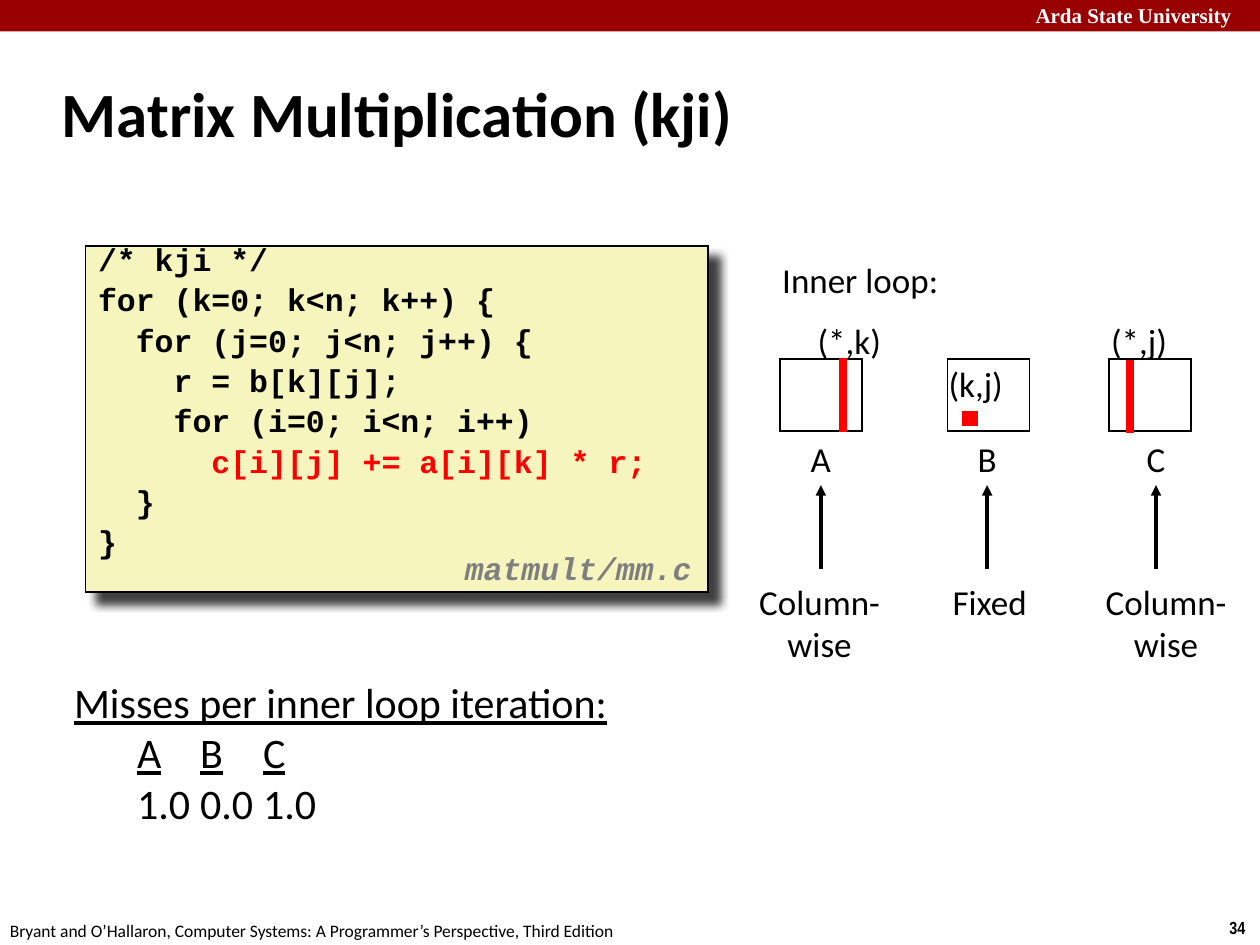
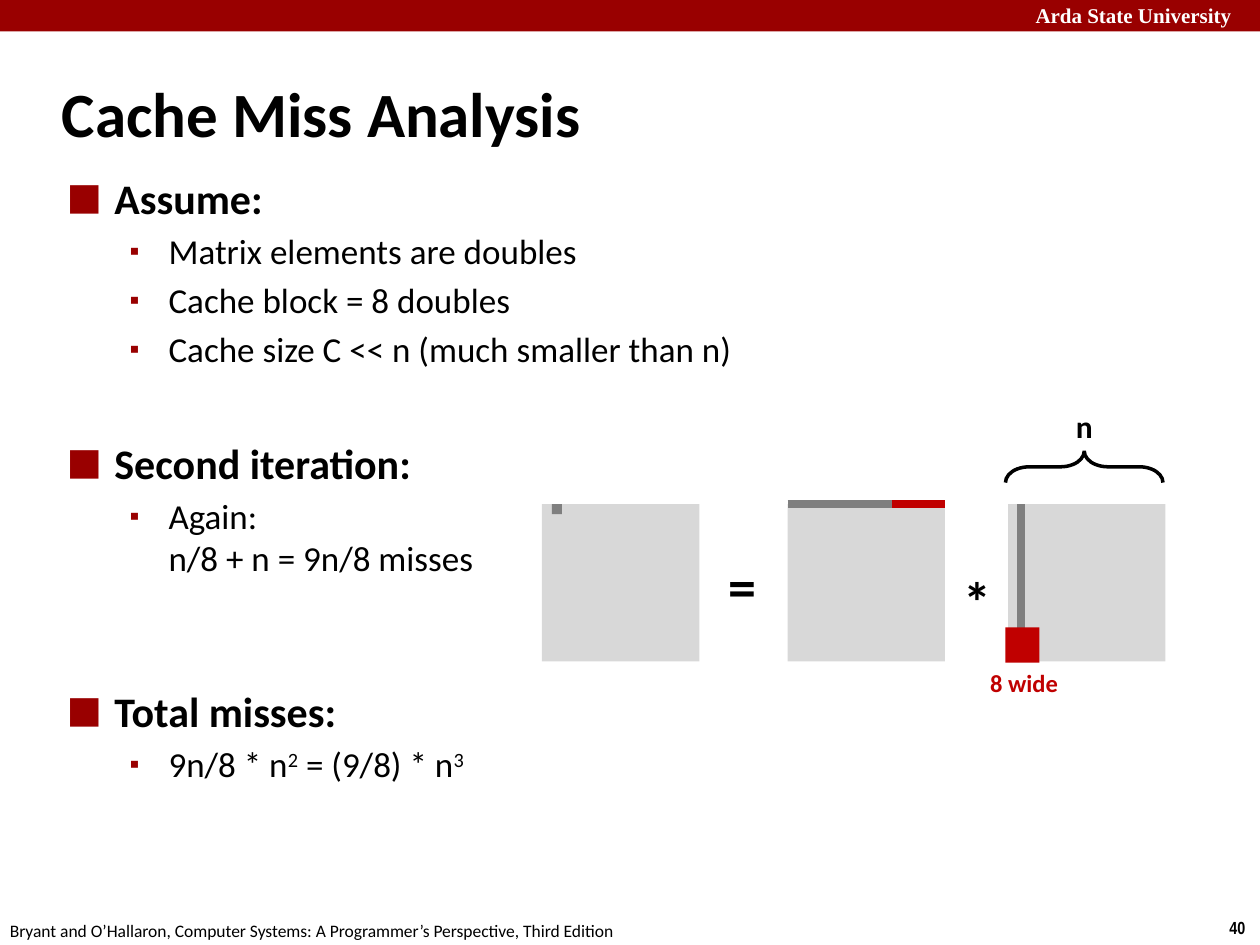
from dataclasses import dataclass
from typing import NamedTuple

from lxml.etree import SubElement
from pptx import Presentation
from pptx.dml.color import RGBColor
from pptx.enum.shapes import MSO_CONNECTOR as Connector, MSO_SHAPE as Preset
from pptx.enum.text import MSO_ANCHOR as Anchor, MSO_AUTO_SIZE as AutoSize, PP_ALIGN as Align
from pptx.oxml.ns import qn
from pptx.util import Emu, Inches, Pt


# Theme: colours, fonts and type sizes
@dataclass(frozen=True)
class Theme:
    band: str = "990000"
    ink: str = "000000"
    paper: str = "FFFFFF"
    code_fill: str = "F6F5BD"
    accent: str = "FF0000"
    miss: str = "C00000"
    matrix: str = "D8D8D8"
    hit: str = "7F7F7F"
    sans: str = "Calibri"
    mono: str = "Courier New"
    serif: str = "Times New Roman"
    narrow: str = "Arial Narrow"
    title: int = 36
    operator: int = 32
    heading: int = 24
    text: int = 20
    code: int = 18
    note: int = 14
    brand: int = 12
    footer: int = 10


THEME = Theme()

# Grid: 100 columns by 75 rows on a 10 by 7.5 inch slide
COLUMNS, ROWS = 100, 75
WIDTH, HEIGHT = Inches(10), Inches(7.5)


def across(columns: float) -> Emu:
    return Emu(round(WIDTH * columns / COLUMNS))


def down(rows: float) -> Emu:
    return Emu(round(HEIGHT * rows / ROWS))


class Area(NamedTuple):
    left: float
    top: float
    width: float
    height: float

    def place(self) -> tuple:
        return across(self.left), down(self.top), across(self.width), down(self.height)


class Point(NamedTuple):
    column: float
    row: float

    def place(self) -> tuple:
        return across(self.column), down(self.row)


class Operand(NamedTuple):
    name: str
    square_left: float
    letter: Area
    access: str
    access_area: Area
    pattern: tuple
    pattern_area: Area


class CodeLine(NamedTuple):
    depth: int
    text: str
    color: str = THEME.ink


class Level(NamedTuple):
    mark: str
    mark_percent: int
    margin: float
    first: float
    size: int


class Bullet(NamedTuple):
    level: int
    pieces: tuple  # every second piece is a superscript
    before: float = 4


# Text helpers
def write(para, text: str, *, size=THEME.text, font=THEME.sans, color=THEME.ink,
          bold=False, italic=False, underline=False, raised=False) -> None:
    for index, line in enumerate(text.split("\n")):
        if index:
            para.add_line_break()
        span = para.add_run()
        span.text = line
        span.font.size = Pt(size)
        span.font.name = font
        span.font.color.rgb = RGBColor.from_string(color)
        span.font.bold, span.font.italic, span.font.underline = bold, italic, underline
        if raised:
            span.font._element.set("baseline", "30000")


def indent(para, margin: float, first: float = 0) -> None:
    properties = para._p.get_or_add_pPr()
    properties.set("marL", str(across(margin)))
    properties.set("indent", str(across(first)))


def set_tabs(para, stops: tuple) -> None:
    tabs = SubElement(para._p.get_or_add_pPr(), qn("a:tabLst"))
    for stop in stops:
        SubElement(tabs, qn("a:tab"), pos=str(across(stop)), algn="l")


def set_bullet(para, level: Level) -> None:
    properties = para._p.get_or_add_pPr()
    SubElement(SubElement(properties, qn("a:buClr")), qn("a:srgbClr"), val=THEME.band)
    SubElement(properties, qn("a:buSzPct"), val=str(level.mark_percent * 1000))
    SubElement(properties, qn("a:buFont"), typeface=THEME.serif)
    SubElement(properties, qn("a:buChar"), char=level.mark)


def paragraphs(frame, count: int) -> list:
    return [frame.paragraphs[0]] + [frame.add_paragraph() for _ in range(count - 1)]


def text_area(page, area: Area, wrap: bool = True):
    box = page.shapes.add_textbox(*area.place())
    box.text_frame.word_wrap = wrap
    box.text_frame.auto_size = AutoSize.NONE
    return box


def label(page, area: Area, *lines: str, align=Align.LEFT, wrap=False, spacing=None, **look):
    box = text_area(page, area, wrap)
    for para, line in zip(paragraphs(box.text_frame, len(lines)), lines):
        para.alignment = align
        if spacing:
            para.line_spacing = spacing
        write(para, line, **look)
    return box


# Drawing helpers
def panel(page, area: Area, fill: str | None, line: str | None = None,
          weight: float = 1, preset=Preset.RECTANGLE):
    shape = page.shapes.add_shape(preset, *area.place())
    shape.shadow.inherit = False
    if fill:
        shape.fill.solid()
        shape.fill.fore_color.rgb = RGBColor.from_string(fill)
    else:
        shape.fill.background()
    if line:
        shape.line.color.rgb = RGBColor.from_string(line)
        shape.line.width = Pt(weight)
        SubElement(shape.line._get_or_add_ln(), qn("a:miter"), lim="800000")
    else:
        shape.line.fill.background()
    return shape


def stroke(page, start: Point, end: Point, color: str, weight: float, arrow: bool = False):
    connector = page.shapes.add_connector(Connector.STRAIGHT, *start.place(), *end.place())
    connector.line.color.rgb = RGBColor.from_string(color)
    connector.line.width = Pt(weight)
    if arrow:
        SubElement(connector.line._get_or_add_ln(), qn("a:tailEnd"), type="triangle")
    SubElement(connector._element.spPr, qn("a:effectLst"))
    return connector


def cast_shadow(shape) -> None:
    effects = shape._element.spPr.find(qn("a:effectLst"))
    shadow = SubElement(effects, qn("a:outerShdw"), blurRad=str(Pt(5)), dist=str(Pt(8.5)),
                        dir=str(45 * 60000), algn="tl", rotWithShape="0")
    color = SubElement(shadow, qn("a:srgbClr"), val=THEME.ink)
    SubElement(color, qn("a:alpha"), val="74000")


# Shared slide frame: band, university, footer, page number, title
def start_page(deck, title: str, number: int):
    page = deck.slides.add_slide(deck.slide_layouts[5])
    panel(page, Area(0, 0, COLUMNS, 2.5), THEME.band)
    label(page, Area(81.2, -0.3, 19.5, 5), "Arda State University", wrap=True,
          size=THEME.brand, font=THEME.serif, color=THEME.paper, bold=True)
    label(page, Area(96.6, 72.3, 3.4, 2.7), str(number),
          size=THEME.footer, font=THEME.narrow, bold=True)
    label(page, Area(-0.2, 72.5, 50.8, 2.7),
          "Bryant and O’Hallaron, Computer Systems: A Programmer’s Perspective, Third Edition",
          wrap=True, size=THEME.footer)
    heading = page.shapes.title
    heading.left, heading.top, heading.width, heading.height = Area(3.9, 4.8, 83, 8.3).place()
    frame = heading.text_frame
    frame.auto_size, frame.vertical_anchor = AutoSize.NONE, Anchor.MIDDLE
    frame.paragraphs[0].alignment = Align.LEFT
    write(frame.paragraphs[0], title, size=THEME.title, bold=True)
    return page


# Slide: matrix multiplication
CODE = (
    CodeLine(0, "/* kji */"),
    CodeLine(0, "for (k=0; k<n; k++) {"),
    CodeLine(1, "for (j=0; j<n; j++) {"),
    CodeLine(2, "r = b[k][j];"),
    CodeLine(2, "for (i=0; i<n; i++)"),
    CodeLine(3, "c[i][j] += a[i][k] * r;", THEME.accent),
    CodeLine(1, "}"),
    CodeLine(0, "}"),
)
CODE_STEP = 3  # two monospaced characters
COUNT_STOPS = (16.1, 26.1, 36.1)
OPERANDS = (
    Operand("A", 61.9, Area(63.3, 34.2, 3.7, 4.3), "(*,k)", Area(63.9, 24.9, 7.1, 4.3),
            ("Column-", "wise"), Area(59.2, 45.6, 11.7, 7.7)),
    Operand("B", 75.2, Area(76.6, 34.2, 3.5, 4.3), "(k,j)", Area(74.3, 28.3, 6.3, 4.3),
            ("Fixed",), Area(74.6, 45.6, 7.9, 4.3)),
    Operand("C", 88, Area(90, 34.2, 3.5, 4.3), "(*,j)", Area(87.2, 24.9, 6.5, 4.3),
            ("Column-", "wise"), Area(86.7, 45.6, 11.7, 7.7)),
)


def add_code(page) -> None:
    listing = panel(page, Area(6.8, 19.5, 49.4, 27.5), THEME.code_fill, THEME.ink)
    cast_shadow(listing)
    frame = listing.text_frame
    frame.word_wrap, frame.vertical_anchor = True, Anchor.TOP
    for index, (para, line) in enumerate(zip(paragraphs(frame, len(CODE)), CODE)):
        para.alignment = Align.LEFT
        para.line_spacing = 0.65
        para.space_before = Pt(9 if index else 0)
        indent(para, line.depth * CODE_STEP)
        write(para, line.text, size=THEME.code, font=THEME.mono, color=line.color, bold=True)
    label(page, Area(35.9, 43.3, 20.8, 3.9), "matmult/mm.c", wrap=True, spacing=0.94,
          size=THEME.code, font=THEME.mono, color=THEME.hit, bold=True, italic=True)


def add_operand(page, operand: Operand) -> None:
    panel(page, Area(operand.square_left, 28.5, 6.5, 5.7), THEME.paper, THEME.ink)
    letter = label(page, operand.letter, operand.name, align=Align.CENTER)
    label(page, operand.access_area, operand.access)
    label(page, operand.pattern_area, *operand.pattern, align=Align.CENTER)
    middle = operand.letter.left + operand.letter.width / 2
    arrow = stroke(page, Point(middle, 45.2), Point(middle, 38.5), THEME.ink, 2, arrow=True)
    arrow.end_connect(letter, 2)


def add_miss_counts(page) -> None:
    box = text_area(page, Area(4.9, 53.2, 54.3, 13.4))
    heading, names, rates = paragraphs(box.text_frame, 3)
    write(heading, "Misses per inner loop iteration:", size=THEME.heading, underline=True)
    for para in (names, rates):
        indent(para, 0)
        set_tabs(para, COUNT_STOPS)
    for operand in OPERANDS:
        write(names, "\t", size=THEME.heading)
        write(names, operand.name, size=THEME.heading, underline=True)
    write(rates, "\t1.0\t0.0\t1.0", size=THEME.heading)


def build_multiplication(deck) -> None:
    page = start_page(deck, "Matrix Multiplication (kji)", 34)
    add_code(page)
    label(page, Area(61.1, 20, 14.5, 4.3), "Inner loop:")
    for operand in OPERANDS:
        add_operand(page, operand)
    panel(page, Area(76.7, 32.9, 0.6, 0.6), THEME.ink, THEME.accent, 4.5)
    for column, bottom, top in ((66.9, 34.3, 28.4), (89.7, 34.4, 28.6)):
        stroke(page, Point(column, bottom), Point(column, top), THEME.accent, 4.5)
    add_miss_counts(page)


# Slide: cache miss analysis
BULLETS = (
    Bullet(0, ("Assume:",), 0),
    Bullet(1, ("Matrix elements are doubles",)),
    Bullet(1, ("Cache block = 8 doubles",)),
    Bullet(1, ("Cache size C << n (much smaller than n)",)),
    Bullet(0, ("Second iteration:",), 38.5),
    Bullet(1, ("Again:\nn/8 + n = 9n/8 misses",)),
    Bullet(0, ("Total misses:",), 61),
    Bullet(1, ("9n/8 * n", "2", " = (9/8) * n", "3")),
)
LEVELS = (Level("■", 140, 3.8, -3.8, THEME.heading), Level("▪", 80, 8.1, -3.1, THEME.text))
SIDE, MATRIX_TOP = 12.5, 40
RESULT, LEFT_FACTOR, RIGHT_FACTOR = 43, 62.5, 80


def add_bullets(page) -> None:
    frame = text_area(page, Area(4.3, 13.2, 86.4, 33.4)).text_frame
    for para, bullet in zip(paragraphs(frame, len(BULLETS)), BULLETS):
        level = LEVELS[bullet.level]
        para.level = bullet.level
        para.space_before = Pt(bullet.before)
        indent(para, level.margin, level.first)
        set_bullet(para, level)
        for index, piece in enumerate(bullet.pieces):
            write(para, piece, size=level.size, bold=bullet.level == 0, raised=index % 2 == 1)


def build_analysis(deck) -> None:
    page = start_page(deck, "Cache Miss Analysis", 40)
    add_bullets(page)
    for left in (RESULT, LEFT_FACTOR, RIGHT_FACTOR):
        panel(page, Area(left, MATRIX_TOP, SIDE, SIDE), THEME.matrix)
    # Brace over the right factor, turned to point up
    brace = panel(page, Area(84.8, 30.8, 2.5, SIDE), None, THEME.ink, 2, Preset.LEFT_BRACE)
    brace.adjustments[0] = 0.75
    brace.rotation = 90
    label(page, Area(84.4, 31.8, 3.4, 4), "n", size=THEME.code, bold=True)
    for left, top, sign in ((56.8, 43.3, "="), (75.5, 44.5, "*")):
        label(page, Area(left, top, 4.3, 6.4), sign, size=THEME.operator, bold=True)
    # Row and column being read, with the cached blocks
    row_end = Point(LEFT_FACTOR + SIDE, MATRIX_TOP)
    stroke(page, Point(LEFT_FACTOR, MATRIX_TOP), row_end, THEME.hit, 4.5)
    stroke(page, Point(70.8, MATRIX_TOP), row_end, THEME.miss, 4.5)
    stroke(page, Point(81, MATRIX_TOP), Point(81, MATRIX_TOP + SIDE), THEME.hit, 4.5)
    panel(page, Area(43.8, MATRIX_TOP, 0.8, 0.8), THEME.hit)
    panel(page, Area(79.8, 49.8, 2.7, 2.8), THEME.miss)
    label(page, Area(77.6, 52.5, 7.4, 3.4), "8 wide", size=THEME.note, color=THEME.miss, bold=True)


# Whole deck
if __name__ == "__main__":
    deck = Presentation()
    deck.slide_width, deck.slide_height = WIDTH, HEIGHT
    build_multiplication(deck)
    build_analysis(deck)
    deck.save("out.pptx")
